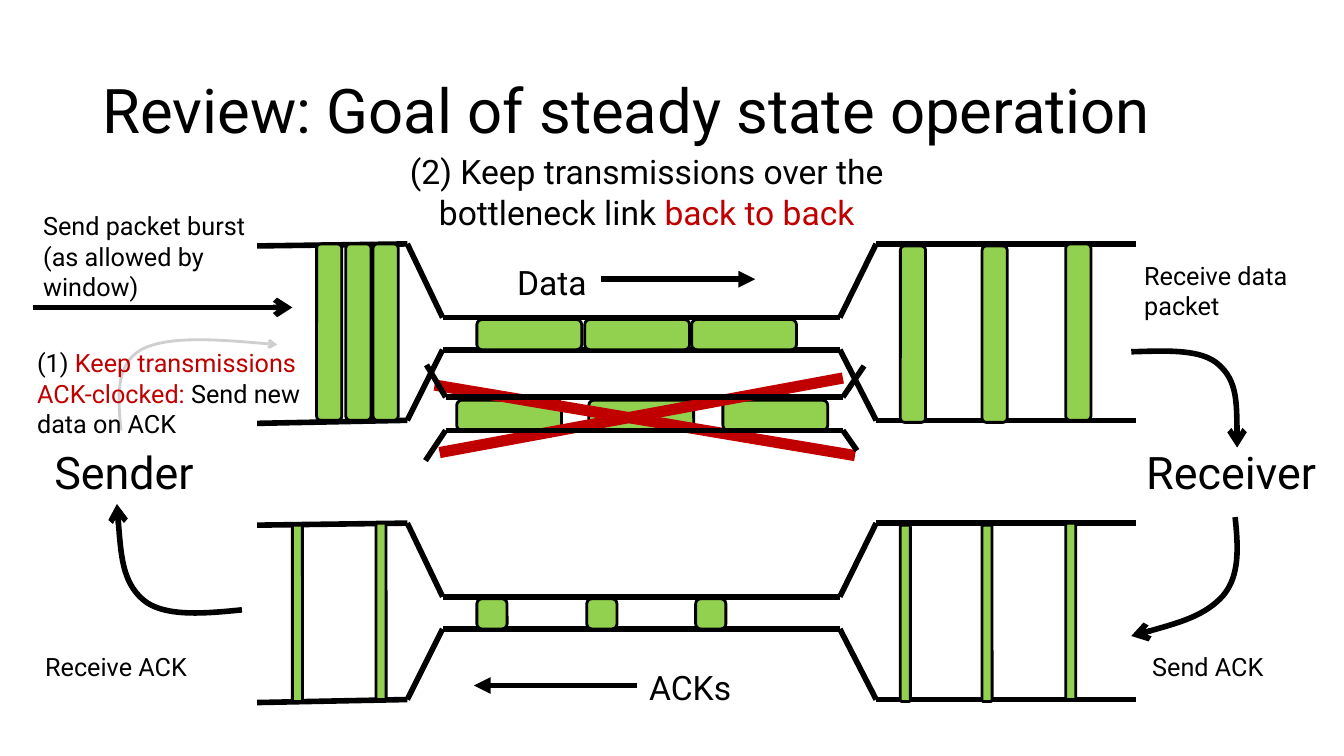
from itertools import pairwise

from lxml.etree import SubElement
from pptx import Presentation
from pptx.dml.color import RGBColor
from pptx.enum.shapes import MSO_CONNECTOR, MSO_SHAPE
from pptx.enum.text import MSO_ANCHOR, PP_ALIGN
from pptx.oxml.ns import qn
from pptx.util import Pt

PX = 9144
COLORS = {"ink": "000000", "packet": "92D050", "accent": "C00000", "faint": "D0CECE"}


def color(name):
    """Return the named palette colour."""
    return RGBColor.from_string(COLORS[name])


def write(slide, origin, box, runs, size, align=PP_ALIGN.LEFT):
    """Write (text, colour) runs in a box placed relative to the origin."""
    x, y, width, height = box
    label = slide.shapes.add_textbox(
        (origin[0] + x) * PX, (origin[1] + y) * PX, width * PX, height * PX)
    frame = label.text_frame
    frame.word_wrap = True
    paragraph = frame.paragraphs[0]
    paragraph.alignment = align
    for words, ink in runs:
        run = paragraph.add_run()
        run.text = words
        run.font.name = "Roboto"
        run.font.size = Pt(size)
        run.font.color.rgb = color(ink)
    return frame


def style_stroke(stroke, ink, weight, head=None):
    """Give a line its colour, weight and optional arrowhead."""
    stroke.line.color.rgb = color(ink)
    stroke.line.width = Pt(weight)
    if head:
        SubElement(stroke.line._get_or_add_ln(), qn("a:tailEnd"), type=head)


def draw_line(slide, origin, start, end, ink="ink", weight=4, head=None):
    """Draw a straight line between two points relative to the origin."""
    ends = [(origin[axis] + point[axis]) * PX for point in (start, end) for axis in (0, 1)]
    line = slide.shapes.add_connector(MSO_CONNECTOR.STRAIGHT, *ends)
    SubElement(line._element.spPr, qn("a:effectLst"))
    style_stroke(line, ink, weight, head)


def draw_curve(slide, origin, points, ink="ink", weight=4):
    """Draw a curved arrow: a start point, then three points per Bézier segment."""
    builder = slide.shapes.build_freeform(*points[0], scale=PX)
    builder.add_line_segments(points[1:], close=False)
    curve = builder.convert_to_shape(origin[0] * PX, origin[1] * PX)
    steps = list(curve._element.iter(qn("a:lnTo")))
    for first in range(0, len(steps), 3):
        segment = steps[first:first + 3]
        bezier = SubElement(segment[0].getparent(), qn("a:cubicBezTo"))
        for step in segment:
            bezier.append(step[0])
            step.getparent().remove(step)
    curve.shadow.inherit = False
    curve.fill.background()
    style_stroke(curve, ink, weight, "arrow")


def draw_packets(slide, origin, corners, width, height):
    """Draw equally sized packets at the given corners."""
    for x, y in corners:
        packet = slide.shapes.add_shape(
            MSO_SHAPE.ROUNDED_RECTANGLE, (origin[0] + x) * PX, (origin[1] + y) * PX,
            width * PX, height * PX)
        packet.shadow.inherit = False
        packet.fill.solid()
        packet.fill.fore_color.rgb = color("packet")
        style_stroke(packet, "ink", 2)


def draw_walls(slide, origin, walls):
    """Draw each wall as a chain of straight lines."""
    for wall in walls:
        for start, end in pairwise(wall):
            draw_line(slide, origin, start, end)


def draw_channel(slide, origin, sender_side, middle, packet_width, middle_width):
    """Draw a path with a bottleneck and the packets travelling along it."""
    draw_walls(slide, origin, [
        [(0, 2), (149, 0), (184, 73), (578, 73), (614, 0), (872, 0)],
        [(0, 178), (149, 175), (184, 105), (578, 105), (614, 175), (872, 175)],
    ])
    receiver_side = [(638, 2), (719, 2), (802, 0)]
    draw_packets(slide, origin, sender_side + receiver_side, packet_width, 175)
    draw_packets(slide, origin, [(x, 75) for x in middle], middle_width, 30)


def draw_flow(slide, origin, name, box, start, end):
    """Name the direction of travel and point along it."""
    write(slide, origin, box, [(name, "ink")], 24)
    draw_line(slide, origin, start, end, head="triangle")


def draw_sender(slide, origin):
    """Draw the sender with its notes and arrows."""
    write(slide, origin, (6, 0, 221, 101),
          [("Send packet burst (as allowed by window)", "ink")], 18)
    draw_line(slide, origin, (6, 101), (263, 101), head="arrow")
    draw_curve(slide, origin, [(93, 223), (90, 190), (87, 158), (113, 143),
                               (139, 129), (193, 133), (248, 138)], "faint", 2)
    write(slide, origin, (0, 136, 300, 101),
          [("(1) ", "ink"), ("Keep transmissions ACK-clocked: ", "accent"),
           ("Send new data on ACK", "ink")], 18)
    write(slide, origin, (17, 232, 185, 64), [("Sender", "ink")], 32)
    draw_curve(slide, origin, [(213, 401), (174, 405), (135, 408), (115, 391),
                               (94, 373), (92, 334), (89, 296)])
    write(slide, origin, (8, 437, 196, 40), [("Receive ACK", "ink")], 18)


def draw_receiver(slide, origin):
    """Draw the receiver with its notes and arrows."""
    write(slide, origin, (3, 0, 196, 71), [("Receive data packet", "ink")], 18)
    draw_curve(slide, origin, [(0, 96), (35, 95), (70, 93), (87, 109),
                               (105, 125), (105, 158), (105, 191)])
    write(slide, origin, (5, 183, 201, 64), [("Receiver", "ink")], 32)
    draw_curve(slide, origin, [(103, 260), (106, 289), (108, 318), (91, 338),
                               (73, 358), (37, 368), (0, 378)])
    write(slide, origin, (11, 388, 196, 40), [("Send ACK", "ink")], 18)


def draw_rejected_link(slide, origin):
    """Draw the bottleneck with gaps between packets, crossed out."""
    draw_packets(slide, origin, [(31, 35), (162, 35), (295, 35)], 104, 30)
    for start, end in [((9, 20), (426, 90)), ((14, 87), (414, 13))]:
        draw_line(slide, origin, start, end, "accent", 8)
    draw_walls(slide, origin, [
        [(1, 0), (20, 32), (414, 32), (435, 1)],
        [(0, 95), (20, 65), (414, 65), (428, 85)],
    ])


def draw_heading(slide, origin):
    """Write the title and the goal beneath it."""
    title = write(slide, origin, (0, 0, 1150, 145),
                  [("Review: Goal of steady state operation", "ink")], 44)
    title.vertical_anchor = MSO_ANCHOR.MIDDLE
    title.paragraphs[0].line_spacing = 0.9
    write(slide, origin, (291, 105, 517, 91),
          [("(2) Keep transmissions over the bottleneck link ", "ink"),
           ("back to back", "accent")], 24, PP_ALIGN.CENTER)


def main():
    """Build the slide and save it."""
    deck = Presentation()
    deck.slide_width, deck.slide_height = 1333 * PX, 750 * PX
    slide = deck.slides.add_slide(deck.slide_layouts[6])
    data, acks = (255, 242), (255, 519)
    draw_heading(slide, (92, 40))
    draw_channel(slide, data, [(59, 0), (88, 0), (115, 0)], (218, 325, 431), 25, 104)
    draw_channel(slide, acks, [(35, 2), (118, 0)], (218, 327, 435), 10, 30)
    draw_sender(slide, (27, 204))
    draw_receiver(slide, (1122, 253))
    draw_flow(slide, data, "Data", (248, 13, 284, 50), (341, 35), (494, 35))
    draw_flow(slide, acks, "ACKs", (379, 138, 112, 50), (377, 161), (215, 161))
    draw_rejected_link(slide, (422, 362))
    deck.save("out.pptx")


if __name__ == "__main__":
    main()
